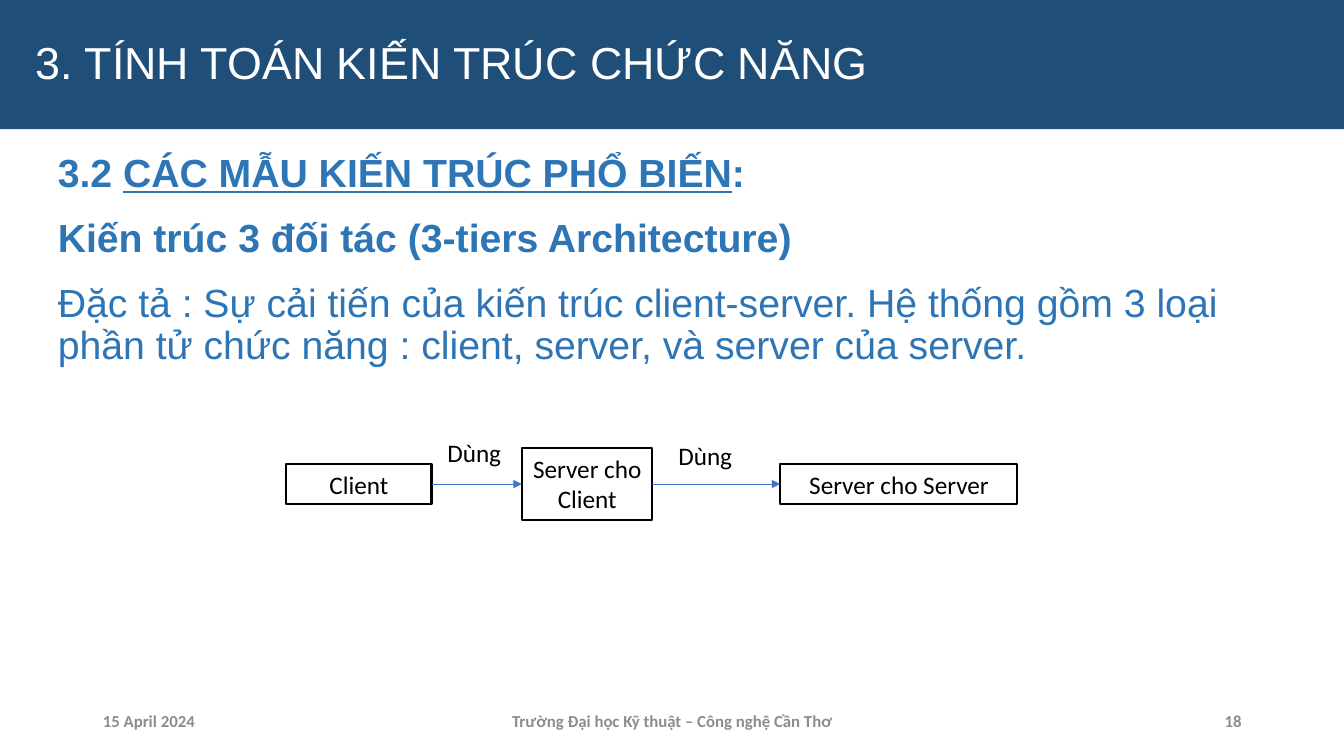
from lxml.etree import SubElement
from pptx import Presentation
from pptx.dml.color import RGBColor
from pptx.enum.shapes import MSO_CONNECTOR as CONN, MSO_SHAPE as SHAPE
from pptx.enum.text import MSO_ANCHOR as ANCHOR, PP_ALIGN as ALIGN
from pptx.oxml.ns import qn
from pptx.util import Pt

PX = 9525
COLORS = {
    "banner": "1F4E79", "white": "FFFFFF", "body": "2E75B6",
    "footer": "8C8C8C", "black": "000000", "arrow": "4472C4",
}
LEFT, RIGHT = 1, 3


def px(*lengths):
    return [n * PX for n in lengths]


def rgb(name):
    return RGBColor.from_string(COLORS[name])


def write(sp, paragraphs, size=18, font="Calibri", color="black", bold=False,
          align=ALIGN.LEFT, anchor=ANCHOR.TOP, wrap=True, inset=10,
          spacing=None, before=0, after=0):
    """Fill a shape with paragraphs, each a list of (text, underlined, bold) runs or a string."""
    tf = sp.text_frame
    tf.word_wrap = wrap
    tf.vertical_anchor = anchor
    tf.margin_left = inset * PX
    for i, runs in enumerate(paragraphs):
        p = tf.add_paragraph() if i else tf.paragraphs[0]
        p.alignment = align
        p.line_spacing = spacing
        p.space_before, p.space_after = Pt(before), Pt(after)
        if isinstance(runs, str):
            runs = [(runs, False, bold)]
        for text, underlined, heavy in runs:
            r = p.add_run()
            r.text = text
            f = r.font
            f.name, f.size, f.bold = font, Pt(size), heavy
            f.underline = underlined or None
            f.color.rgb = rgb(color)


def add_text(s, box, paragraphs, **fmt):
    write(s.shapes.add_textbox(*px(*box)), paragraphs, **fmt)


def add_rect(s, box, text, fill=None, line=None, **fmt):
    sp = s.shapes.add_shape(SHAPE.RECTANGLE, *px(*box))
    sp.shadow.inherit = False
    if fill:
        sp.fill.solid()
        sp.fill.fore_color.rgb = rgb(fill)
    else:
        sp.fill.background()
    if line:
        sp.line.color.rgb = rgb(line)
        sp.line.width = Pt(1.5)
    else:
        sp.line.fill.background()
    write(sp, [text], **fmt)
    return sp


def add_arrow(s, start, end):
    c = s.shapes.add_connector(CONN.STRAIGHT, 0, 0, 0, 0)
    c.begin_connect(start, RIGHT)
    c.end_connect(end, LEFT)
    c.line.color.rgb = rgb("arrow")
    c.line.width = Pt(0.5)
    SubElement(c.line._get_or_add_ln(), qn("a:tailEnd"), type="triangle")
    SubElement(c._element.spPr, qn("a:effectLst"))


def add_banner(s, box):
    add_rect(s, box, "3. TÍNH TOÁN KIẾN TRÚC CHỨC NĂNG", fill="banner", size=32,
             font="Arial", color="white", anchor=ANCHOR.MIDDLE, inset=34, spacing=0.9)


def add_body(s, box):
    add_text(s, box, [
        [("3.2 ", False, True), ("CÁC MẪU KIẾN TRÚC PHỔ BIẾN", True, True), (":", False, True)],
        [("Kiến trúc 3 đối tác (3-tiers Architecture)", False, True)],
        "Đặc tả : Sự cải tiến của kiến trúc client-server. Hệ thống gồm 3 loại "
        "phần tử chức năng : client, server, và server của server.",
    ], size=28, font="Arial", color="body", spacing=0.9, before=10, after=6)


def add_tiers(s, box):
    """Chain of three tiers centred on the middle of the box, joined by labelled arrows."""
    left, top, _, height = box
    tiers = [("Client", 0, 139, 38), ("Server cho Client", 225, 124, 68),
             ("Server cho Server", 471, 226, 38)]
    nodes = [add_rect(s, (left + x, top + (height - h) // 2, w, h), text, line="black",
                      align=ALIGN.CENTER, anchor=ANCHOR.TOP)
             for text, x, w, h in tiers]
    for start, end in zip(nodes, nodes[1:]):
        add_arrow(s, start, end)
    for x, y in [(144, -15), (364, -12)]:
        add_text(s, (left + x, top + y, 71, 38), ["Dùng"], wrap=False)


def add_footer(s, box):
    left, top, width, height = box
    parts = [("15 April 2024", 0, 288, ALIGN.LEFT),
             ("Trường Đại học Kỹ thuật – Công nghệ Cần Thơ", (width - 432) // 2, 432, ALIGN.CENTER),
             ("18", width - 288, 288, ALIGN.RIGHT)]
    for text, x, w, align in parts:
        add_text(s, (left + x, top, w, height), [text], size=12, color="footer",
                 bold=True, align=align, anchor=ANCHOR.MIDDLE)


def main():
    prs = Presentation()
    prs.slide_width, prs.slide_height = px(1280, 720)
    s = prs.slides.add_slide(prs.slide_layouts[6])
    add_banner(s, (0, 0, 1280, 123))
    add_body(s, (45, 142, 1193, 516))
    add_footer(s, (88, 667, 1104, 38))
    add_tiers(s, (272, 427, 697, 68))
    prs.save("out.pptx")


if __name__ == "__main__":
    main()
